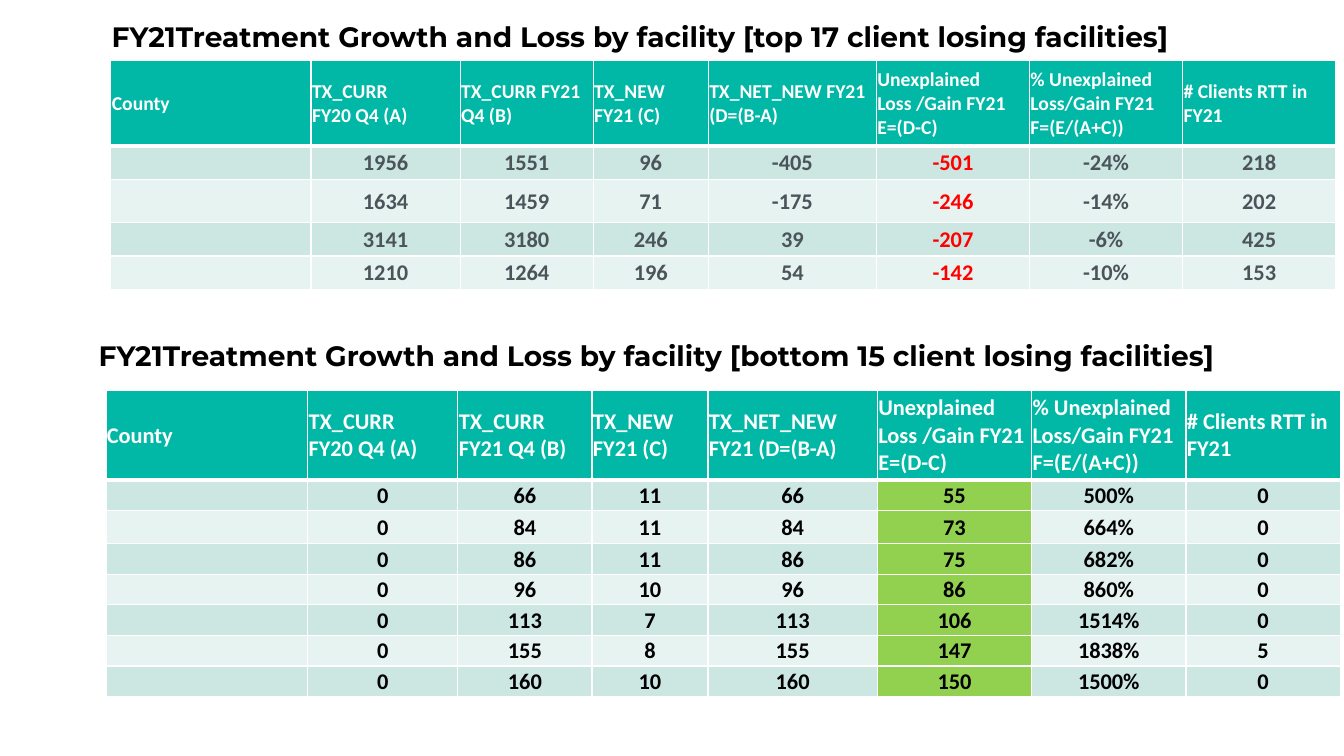
from dataclasses import dataclass
from lxml.etree import SubElement
from pptx import Presentation
from pptx.dml.color import RGBColor
from pptx.enum.text import MSO_ANCHOR, PP_ALIGN
from pptx.oxml import parse_xml
from pptx.oxml.ns import nsdecls, qn
from pptx.util import Inches, Pt


@dataclass(frozen=True)
class Theme:
    head: str = "00B8A5"
    bands: tuple = ("CCE6E1", "E7F3F0")
    gain: str = "92D050"
    loss: str = "FF0000"
    gray: str = "4B545B"
    black: str = "000000"
    white: str = "FFFFFF"
    title: int = 20
    body: int = 16
    small: int = 14
    sans: str = "Calibri"
    bold: str = "Montserrat"


THEME = Theme()
WIDE, HIGH = Inches(13.33), Inches(7.5)
KEY = 5
COLS = (2, 1.49, 1.33, 1.15, 1.68, 1.53, 1.53, 1.53)
HEADS = (
    "County", "TX_CURR\nFY20 Q4 (A)", "TX_CURR FY21 Q4 (B)",
    "TX_NEW FY21 (C)", "TX_NET_NEW FY21 (D=(B-A)",
    "Unexplained Loss /Gain FY21 E=(D-C)",
    "% Unexplained Loss/Gain FY21 F=(E/(A+C))", "# Clients RTT in FY21",
)
LOSERS = (
    ("", "1956", "1551", "96", "-405", "-501", "-24%", "218"),
    ("", "1634", "1459", "71", "-175", "-246", "-14%", "202"),
    ("", "3141", "3180", "246", "39", "-207", "-6%", "425"),
    ("", "1210", "1264", "196", "54", "-142", "-10%", "153"),
)
GAINERS = (
    ("", "0", "66", "11", "66", "55", "500%", "0"),
    ("", "0", "84", "11", "84", "73", "664%", "0"),
    ("", "0", "86", "11", "86", "75", "682%", "0"),
    ("", "0", "96", "10", "96", "86", "860%", "0"),
    ("", "0", "113", "7", "113", "106", "1514%", "0"),
    ("", "0", "155", "8", "155", "147", "1838%", "5"),
    ("", "0", "160", "10", "160", "150", "1500%", "0"),
)


def across(share):
    return round(WIDE * share / 100)


def down(share):
    return round(HIGH * share / 100)


def write(frame, text, size, color, font=THEME.sans, align=PP_ALIGN.LEFT):
    for i, line in enumerate(text.split("\n")):
        para = frame.add_paragraph() if i else frame.paragraphs[0]
        para.alignment = align
        if not line:
            SubElement(para._p, qn("a:endParaRPr"), sz=str(size * 100))
            continue
        run = para.add_run()
        run.text = line
        run.font.size = Pt(size)
        run.font.name = font
        run.font.bold = True
        run.font.color.rgb = RGBColor.from_string(color)


def title(slide, text, left, top, width, height):
    box = slide.shapes.add_textbox(across(left), down(top), across(width), down(height))
    box.text_frame.word_wrap = True
    write(box.text_frame, text, THEME.title, THEME.black, font=THEME.bold)


def edge(cell, base):
    widths = {"L": 1, "R": 1, "T": 1, "B": base}
    for i, (side, width) in enumerate(widths.items()):
        line = parse_xml(
            f'<a:ln{side} {nsdecls("a")} w="{Pt(width)}"><a:solidFill>'
            f'<a:srgbClr val="{THEME.white}"/></a:solidFill></a:ln{side}>'
        )
        cell._tc.get_or_add_tcPr().insert(i, line)


def paint(cell, text, fill, base=1, **style):
    cell.margin_left = cell.margin_right = cell.margin_top = Inches(0.01)
    cell.margin_bottom = 0
    cell.vertical_anchor = MSO_ANCHOR.MIDDLE
    cell.fill.solid()
    cell.fill.fore_color.rgb = RGBColor.from_string(fill)
    edge(cell, base)
    write(cell.text_frame, text, **style)


def grid(slide, data, left, top, width, rows, size, ink, key_ink, key_fill=None):
    table = slide.shapes.add_table(
        len(rows), len(COLS), across(left), down(top), across(width), down(sum(rows))
    ).table
    for col, part in zip(table.columns, COLS):
        col.width = across(width * part / sum(COLS))
    for row, share in zip(table.rows, rows):
        row.height = down(share)
    for c, head in enumerate(HEADS):
        paint(table.cell(0, c), head, THEME.head, base=3, size=size, color=THEME.white)
    for r, line in enumerate(data):
        band = THEME.bands[r % 2]
        for c, text in enumerate(line):
            key = c == KEY
            paint(table.cell(r + 1, c), text, key_fill if key and key_fill else band,
                  size=THEME.body, color=key_ink if key else ink,
                  align=PP_ALIGN.CENTER)


def main():
    deck = Presentation()
    deck.slide_width, deck.slide_height = WIDE, HIGH
    slide = deck.slides.add_slide(deck.slide_layouts[6])
    lead = "FY21Treatment Growth and Loss by facility "
    title(slide, lead + "[top 17 client losing facilities]", 7.58, 1.87, 91.8, 8.1)
    grid(slide, LOSERS, 8.25, 8, 91.15, (11.33, 4.4, 5.73, 4.4, 4.4),
         THEME.small, THEME.gray, THEME.loss)
    title(slide, lead + "[bottom 15 client losing facilities]", 6.6, 44.13, 94.4, 4.3)
    grid(slide, GAINERS, 7.88, 51.6, 91.85, (11.87, 4.05, 4.4, *[4.05] * 5),
         THEME.body, THEME.black, THEME.black, THEME.gain)
    deck.save("out.pptx")


if __name__ == "__main__":
    main()
